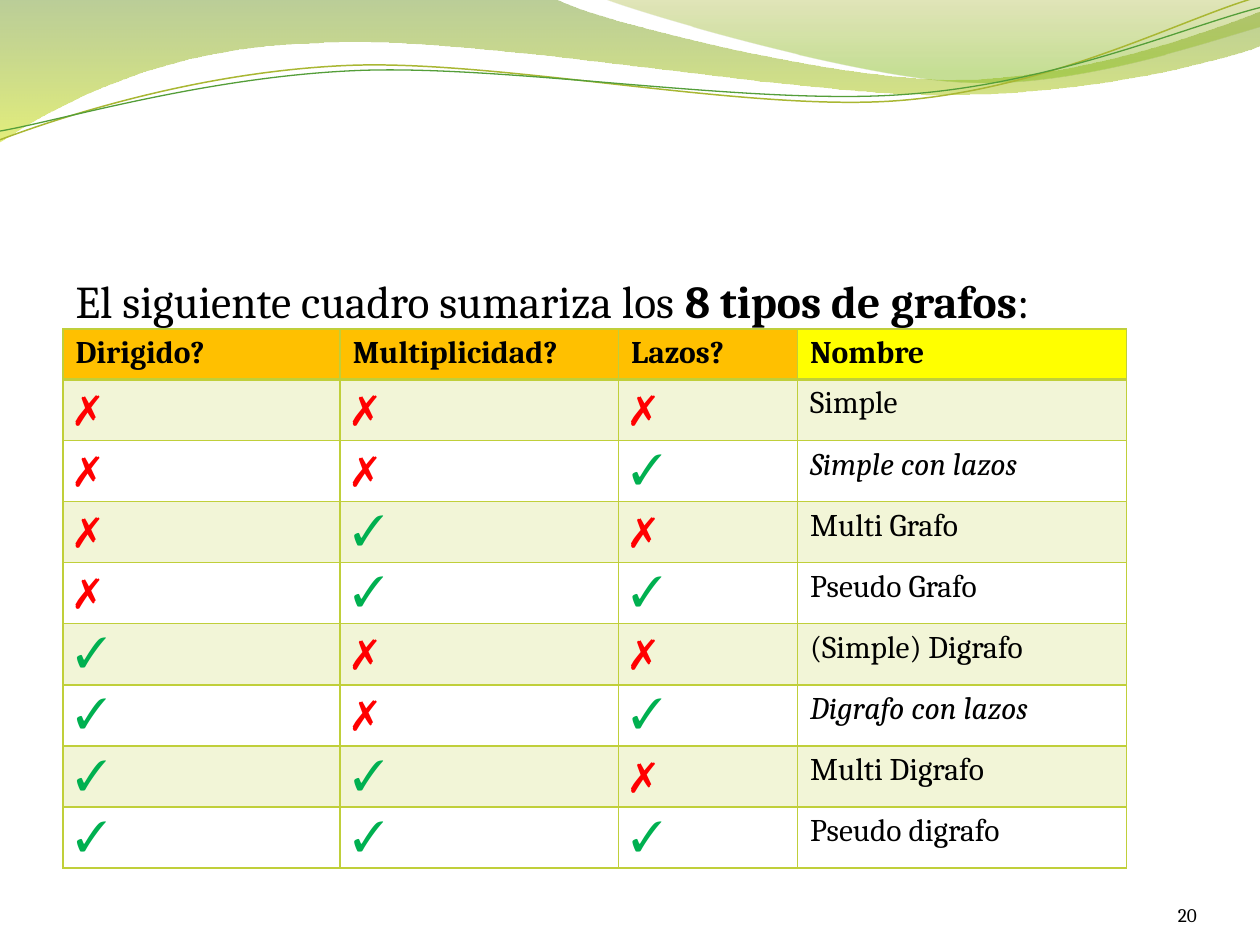
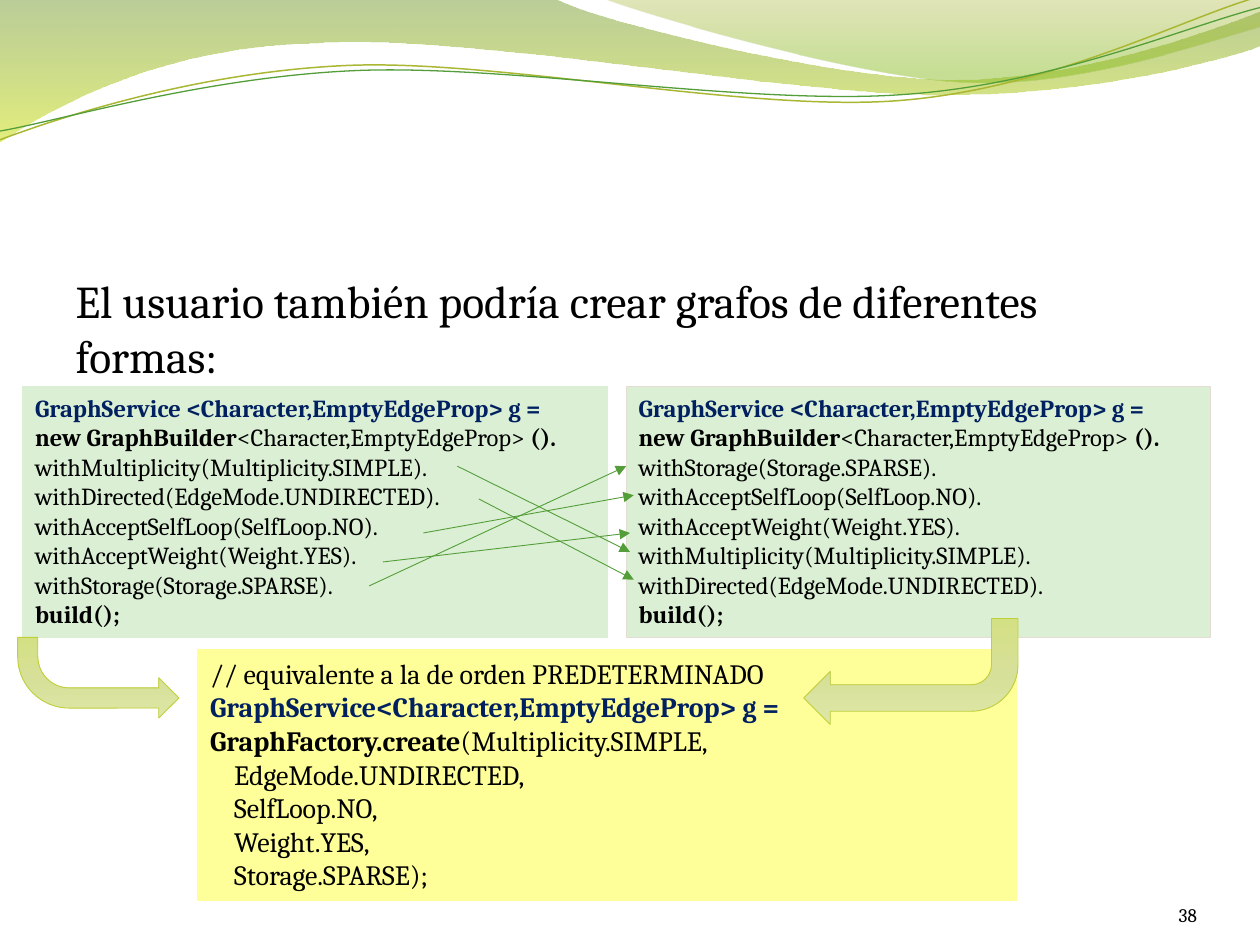
"""Build two slides on graph types: a summary table and equal ways to build a graph."""
import math

import lxml.etree
import pptx
import pptx.dml.color
import pptx.enum.shapes
import pptx.enum.text
import pptx.oxml.ns
import pptx.util

Inches = pptx.util.Inches
Pt = pptx.util.Pt
RGB = pptx.dml.color.RGBColor.from_string
Shape = pptx.enum.shapes.MSO_SHAPE
Align = pptx.enum.text.PP_ALIGN
Anchor = pptx.enum.text.MSO_ANCHOR
qn = pptx.oxml.ns.qn
Sub = lxml.etree.SubElement


class Theme:
    font = "Cambria"
    black, navy, red, green = "000000", "002060", "FF0000", "00B050"
    lime, leaf, olive = "C0CF3A", "549E39", "A9B733"
    orange, yellow = "FFC000", "FFFF00"
    mint, cream, sand = "DBEFD4", "FFFF99", "E3DED1"
    field = [(0, "69921C", 45), (100, "CCE10F", 55)]
    hill = [(0, "9BAA1A", 30), (80, "81BA16", 45)]
    arrow = [(0, "DDE6A6", 100), (50, "D7E098", 100), (100, "D4E084", 100)]
    body, mark, cell, call, code, page = 26, 24, 18, 16, 14, 11


def write(frame, lines, size, align=Align.LEFT):
    """Fill a frame with lines, each a list of (text, bold, colour) pieces."""
    frame.word_wrap = True
    for n, line in enumerate(lines):
        para = frame.paragraphs[0] if n == 0 else frame.add_paragraph()
        para.alignment = align
        for text, bold, hue in line:
            run = para.add_run()
            run.text = text
            run.font.name = Theme.font
            run.font.size = Pt(size)
            run.font.bold = bold
            run.font.color.rgb = RGB(hue)


def blend(shape, stops):
    """Fill a shape from top to bottom with (place, colour, opacity) stops."""
    shape.fill.gradient()
    shape.fill.gradient_angle = 270
    tray = shape._element.spPr.find(qn("a:gradFill")).find(qn("a:gsLst"))
    for old in list(tray):
        tray.remove(old)
    for place, hue, alpha in stops:
        stop = Sub(tray, qn("a:gs"), pos=str(place * 1000))
        tint = Sub(stop, qn("a:srgbClr"), val=hue)
        if alpha < 100:
            Sub(tint, qn("a:alpha"), val=str(alpha * 1000))


deck = pptx.Presentation()
deck.slide_width, deck.slide_height = Inches(10), Inches(7.5)
layout = deck.slide_layouts[1]

slides = []
for lead, align, page in [
    ([("El siguiente cuadro sumariza los ", False, Theme.black),
      ("8 tipos de grafos", True, Theme.black),
      (":", False, Theme.black)], Align.JUSTIFY, "20"),
    ([("El usuario también podría crear grafos de diferentes formas:", False, Theme.black)],
     Align.LEFT, "38"),
]:
    slide = deck.slides.add_slide(layout)
    title = slide.shapes.title._element
    title.getparent().remove(title)
    body = slide.placeholders[1]
    body.left, body.top, body.width, body.height = map(Inches, (0.5, 2.12, 9, 4.8))
    write(body.text_frame, [lead], Theme.body, align)
    props = body.text_frame.paragraphs[0]._p.get_or_add_pPr()
    props.set("marL", "0")
    props.set("indent", "0")
    Sub(props, qn("a:buNone"))

    foot = slide.shapes.add_textbox(*map(Inches, (8.67, 6.95, 0.83, 0.4))).text_frame
    foot.margin_left = foot.margin_right = foot.margin_top = foot.margin_bottom = 0
    foot.vertical_anchor = Anchor.BOTTOM
    write(foot, [[(page, False, Theme.black)]], Theme.page, Align.RIGHT)
    slides.append(slide)

waves = [
    ([[(0, 0)], [(4.4, -0.01)],
      [(4.75, 0.17), (6.63, 0.63), (7.58, 0.63)],
      [(8.53, 0.63), (9.58, 0.26), (10, 0.09)],
      [(10.01, 0.36)],
      [(9.83, 0.44), (8.69, 0.76), (7.46, 0.75)],
      [(6.22, 0.75), (3.81, 0.28), (2.57, 0.34)],
      [(1.29, 0.36), (0.46, 0.83), (-0.01, 1.13)],
      [(0, 0)]], Theme.field, None, 0),
    ([[(4.79, -0.01)],
      [(5.09, 0.11), (6.82, 0.62), (7.68, 0.65)],
      [(8.55, 0.69), (9.61, 0.32), (10, 0.21)],
      [(10, 0)], [(4.79, -0.01)]], Theme.hill, None, 0),
    ([[(0, 1.11)],
      [(0.48, 0.93), (1.57, 0.57), (2.76, 0.52)],
      [(3.95, 0.47), (5.92, 0.89), (7.12, 0.8)],
      [(8.33, 0.71), (9.38, 0.15), (9.97, -0.02)]], None, Theme.olive, 0.85),
    ([[(0, 1.04)],
      [(0.47, 0.96), (1.63, 0.61), (2.83, 0.56)],
      [(4.02, 0.51), (5.97, 0.84), (7.17, 0.75)],
      [(8.36, 0.67), (9.41, 0.21), (10, 0.06)]], None, Theme.leaf, 0.75),
]
mid_x, mid_y = 4.99, 0.58
for n, (parts, stops, hue, width) in enumerate(waves):
    tilt = 0 if stops else 2.7
    sin, cos = math.sin(math.radians(tilt)), math.cos(math.radians(tilt))
    dots = [(Inches(mid_x + (x - mid_x) * cos - (y - mid_y) * sin),
             Inches(mid_y + (x - mid_x) * sin + (y - mid_y) * cos))
            for part in parts for x, y in part]
    pen = slides[0].shapes.build_freeform(*dots[0])
    pen.add_line_segments(dots[1:], close=bool(stops))
    wave = pen.convert_to_shape()
    wave.rotation = -tilt
    moves = iter(list(wave._element.iter(qn("a:lnTo"))))
    for part in parts[1:]:
        group = [next(moves) for dot in part]
        if len(group) == 3:
            curve = lxml.etree.Element(qn("a:cubicBezTo"))
            group[0].addprevious(curve)
            for move in group:
                curve.append(move[0])
                move.getparent().remove(move)
    wave.shadow.inherit = False
    if stops:
        blend(wave, stops)
        wave.line.fill.background()
    else:
        wave.fill.background()
        wave.line.color.rgb = RGB(hue)
        wave.line.width = Pt(width)
    layout.shapes.element.insert(2 + n, wave._element)

kinds = ["Simple", "Simple con lazos", "Multi Grafo", "Pseudo Grafo",
         "(Simple) Digrafo", "Digrafo con lazos", "Multi Digrafo", "Pseudo digrafo"]
rows = [["Dirigido?", "Multiplicidad?", "Lazos?", "Nombre"]]
for n, kind in enumerate(kinds):
    rows.append(["✓" if n & bit else "✗" for bit in (4, 2, 1)] + [kind])
hues = {"✓": Theme.green, "✗": Theme.red}

grid = slides[0].shapes.add_table(9, 4, *map(Inches, (0.5, 2.61, 8.44, 4.25))).table
for col, width in zip(grid.columns, (2.2, 2.21, 1.42, 2.61)):
    col.width = Inches(width)
for r, row in enumerate(rows):
    grid.rows[r].height = Inches(0.48 if r else 0.4)
    for c, text in enumerate(row):
        cell = grid.cell(r, c)
        size = Theme.mark if text in hues else Theme.cell
        write(cell.text_frame, [[(text, r == 0, hues.get(text, Theme.black))]], size)
        cell.text_frame.paragraphs[0].runs[0].font.italic = text.endswith("con lazos")
        if r:
            cell.margin_bottom = Pt(2.5)
        props = cell._tc.get_or_add_tcPr()
        for side in ("lnL", "lnR", "lnT", "lnB"):
            thick = (side == "lnB" and r == 0) or (side == "lnT" and r == 1)
            edge = Sub(props, qn("a:" + side), w=str(Pt(2 if thick else 1)))
            Sub(Sub(edge, qn("a:solidFill")), qn("a:srgbClr"), val=Theme.lime)
        if r and r % 2 == 0:
            cell.fill.background()
            continue
        cell.fill.solid()
        head = Theme.yellow if c == 3 else Theme.orange
        cell.fill.fore_color.rgb = RGB(Theme.lime if r else head)
        if r:
            Sub(props.find(qn("a:solidFill"))[0], qn("a:alpha"), val="20000")

calls = ["withMultiplicity(Multiplicity.SIMPLE).", "withDirected(EdgeMode.UNDIRECTED).",
         "withAcceptSelfLoop(SelfLoop.NO).", "withAcceptWeight(Weight.YES).",
         "withStorage(Storage.SPARSE)."]
opening = [[("GraphService <Character,EmptyEdgeProp> g =", True, Theme.navy)],
           [("new GraphBuilder", True, Theme.black),
            ("<Character,EmptyEdgeProp> ", False, Theme.black),
            ("().", True, Theme.black)]]
chains = [opening + [[(calls[n], False, Theme.black)] for n in order]
          + [[("build();", True, Theme.black)]]
          for order in ((0, 1, 2, 3, 4), (4, 2, 3, 0, 1))]
args = ["EdgeMode.UNDIRECTED,", "SelfLoop.NO,", "Weight.YES,", "Storage.SPARSE);"]
preset = [[("// equivalente a la de orden PREDETERMINADO", False, Theme.black)],
          [("GraphService<Character,EmptyEdgeProp> g =", True, Theme.navy)],
          [("GraphFactory.create", True, Theme.black),
           ("(Multiplicity.SIMPLE,", False, Theme.black)]]
preset += [[(arg, False, Theme.black)] for arg in args]

shapes = slides[1].shapes
for left, top, width, fill, line, lines, size in [
    (0.18, 3.07, 4.64, Theme.mint, Theme.mint, chains[0], Theme.code),
    (4.97, 3.07, 4.64, Theme.mint, Theme.sand, chains[1], Theme.code),
    (1.57, 5.16, 6.5, Theme.cream, Theme.cream, preset, Theme.call),
]:
    box = shapes.add_shape(Shape.RECTANGLE, *map(Inches, (left, top, width, 1.99)))
    box.shadow.inherit = False
    box.fill.solid()
    box.fill.fore_color.rgb = RGB(fill)
    box.line.color.rgb = RGB(line)
    box.line.width = Pt(0.75)
    box.text_frame.vertical_anchor = Anchor.TOP
    write(box.text_frame, lines, size)
for para in box.text_frame.paragraphs[-len(args):]:
    para._p.get_or_add_pPr().set("marL", str(Inches(0.19)))

for ends in [(3.63, 3.7, 5, 4.38), (3.8, 3.96, 5.03, 4.6), (2.93, 4.65, 4.97, 3.7),
             (3.36, 4.23, 5.03, 3.93), (3.04, 4.46, 5, 4.23)]:
    link = shapes.add_connector(pptx.enum.shapes.MSO_CONNECTOR.STRAIGHT, *map(Inches, ends))
    link.line.color.rgb = RGB(Theme.leaf)
    link.line.width = Pt(0.5)
    props = link._element.spPr
    Sub(props.find(qn("a:ln")), qn("a:tailEnd"), type="triangle")
    Sub(props, qn("a:effectLst"))

for place, bend, flips in [((0.14, 5.06, 1.28, 0.64), 0.64, ["flipV"]),
                           ((6.38, 4.91, 1.7, 0.84), 0.44, ["flipH", "flipV"])]:
    arrow = shapes.add_shape(Shape.BENT_ARROW, *map(Inches, place))
    arrow.shadow.inherit = False
    arrow.adjustments[3] = bend
    blend(arrow, Theme.arrow)
    arrow.line.color.rgb = RGB(Theme.lime)
    arrow.line.width = Pt(0.5)
    for flip in flips:
        arrow._element.spPr.find(qn("a:xfrm")).set(flip, "1")

deck.save("out.pptx")
